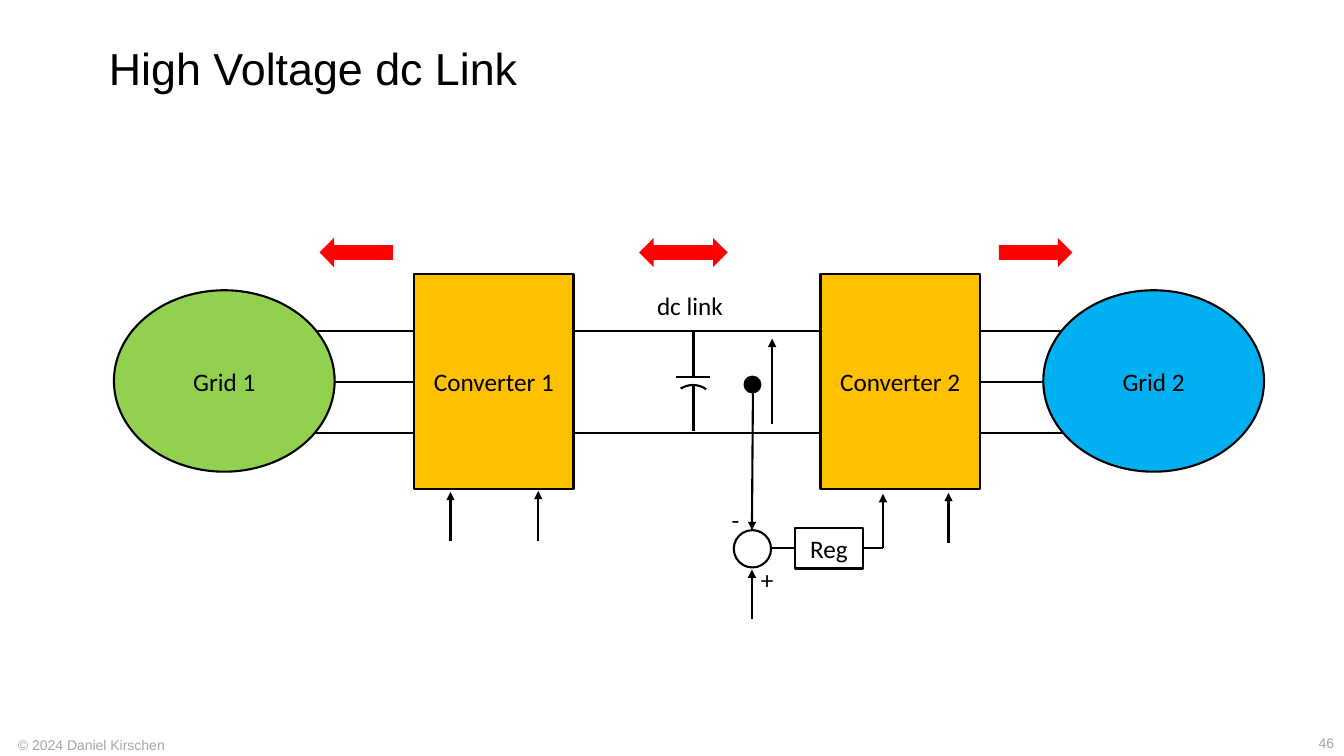
from dataclasses import dataclass
from typing import Optional

from lxml.etree import SubElement
from pptx import Presentation
from pptx.dml.color import RGBColor
from pptx.enum.shapes import MSO_CONNECTOR, MSO_SHAPE
from pptx.enum.text import MSO_ANCHOR, MSO_AUTO_SIZE, PP_ALIGN
from pptx.oxml.ns import qn
from pptx.util import Inches, Pt

COLS, ROWS = 160, 90
CELL = Inches(7.5) / ROWS


@dataclass(frozen=True)
class Theme:
    ink: str = "000000"
    paper: str = "FFFFFF"
    muted: str = "A6A6A6"
    flow: str = "FF0000"
    converter: str = "FFC000"
    grid_1: str = "92D050"
    grid_2: str = "00B0F0"
    heading: str = "Arial"
    label: str = "Calibri"
    title_pt: float = 32
    label_pt: float = 18
    footer_pt: float = 10
    stroke_pt: float = 1.5


@dataclass(frozen=True)
class Wire:
    x1: float
    y1: float
    x2: float
    y2: float
    arrow: bool = False


@dataclass(frozen=True)
class Block:
    kind: MSO_SHAPE
    x: float
    y: float
    w: float
    h: float
    fill: Optional[str]
    text: str = ""
    stroke: float = 1.5
    anchor: MSO_ANCHOR = MSO_ANCHOR.MIDDLE


@dataclass(frozen=True)
class Label:
    text: str
    x: float
    y: float
    w: float
    h: float
    font: str = "Calibri"
    size: float = 18
    color: str = "000000"
    wrap: bool = False
    align: PP_ALIGN = PP_ALIGN.LEFT
    anchor: MSO_ANCHOR = MSO_ANCHOR.TOP


T = Theme()
PHASES = [39.36 + 6.12 * i for i in range(3)]
TOP, MID, BOTTOM = PHASES
CAP_X, SUM_X, REG_Y, REG_OUT_X = 82.56, 89.52, 65.28, 105.12
FLOW_Y, FLOW_W, FLOW_H = 28.32, 8.76, 3.48

WIRES = [
    *(Wire(67.92, y, 97.56, y) for y in (TOP, BOTTOM)),
    *(Wire(39.12 if y == MID else 36.6, y, 52.08, y) for y in PHASES),
    *(Wire(114.48, y, 126.72, y) for y in PHASES),
    *(Wire(x, y, x, end, True) for x, y, end in (
        (53.64, 64.44, 58.56), (64.08, 64.44, 58.44),
        (112.92, 64.68, 58.68), (REG_OUT_X, REG_Y, 58.8),
        (91.92, 50.52, 40.32), (SUM_X, 73.68, 67.8))),
    Wire(89.64, 46.68, SUM_X, 63.12, True),
    Wire(90.72, REG_Y, REG_OUT_X, REG_Y),
    Wire(CAP_X, TOP, CAP_X, 44.88),
    Wire(84.48, 44.88, 80.52, 44.88),
    Wire(CAP_X, 45.84, CAP_X, 51.36),
]

BLOCKS = [
    *(Block(MSO_SHAPE.RECTANGLE, x, 32.64, 18.96, 25.56, T.converter, text)
      for x, text in ((49.32, "Converter 1"), (97.68, "Converter 2"))),
    *(Block(MSO_SHAPE.OVAL, x, 34.56, 26.28, 21.6, fill, text)
      for x, fill, text in ((13.56, T.grid_1, "Grid 1"), (124.2, T.grid_2, "Grid 2"))),
    Block(MSO_SHAPE.OVAL, 88.68, 44.88, 1.8, 1.8, T.ink, stroke=2),
    Block(MSO_SHAPE.OVAL, 87.36, 63.12, 4.44, 4.44, T.paper),
    Block(MSO_SHAPE.RECTANGLE, 94.68, 62.88, 8.04, 4.8, T.paper, "Reg",
          anchor=MSO_ANCHOR.TOP),
    *(Block(kind, x, FLOW_Y, FLOW_W, FLOW_H, T.flow, stroke=0)
      for kind, x in ((MSO_SHAPE.LEFT_ARROW, 38.04), (MSO_SHAPE.RIGHT_ARROW, 77.88),
                      (MSO_SHAPE.LEFT_ARROW, 76.08), (MSO_SHAPE.RIGHT_ARROW, 118.92))),
]
CAPACITOR_PLATE = Block(MSO_SHAPE.ARC, 79.68, 45.84, 5.64, 6, None)

LABELS = [
    Label("dc link", 77.04, 33.96, 10.32, 4.8),
    Label("-", 85.92, 59.4, 3.36, 4.8),
    Label("+", 89.4, 66.6, 3.96, 4.8),
    Label("© 2024 Daniel Kirschen", 0.96, 87.12, 39.84, 3.24,
          T.heading, T.footer_pt, T.muted, True),
    Label("46", 153.48, 86.88, 6.52, 3.24, T.heading, T.footer_pt, T.muted, True,
          PP_ALIGN.RIGHT, MSO_ANCHOR.MIDDLE),
]


def cells(*values: float) -> list[int]:
    return [round(v * CELL) for v in values]


def rgb(color: str) -> RGBColor:
    return RGBColor.from_string(color)


def write(tf, text: str, font: str, size: float, color: str, align: PP_ALIGN):
    tf.text = text
    p = tf.paragraphs[0]
    p.alignment = align
    p.font.name, p.font.size = font, Pt(size)
    p.font.color.rgb = rgb(color)
    return p


def draw_wire(s, wire: Wire) -> None:
    c = s.shapes.add_connector(MSO_CONNECTOR.STRAIGHT,
                               *cells(wire.x1, wire.y1, wire.x2, wire.y2))
    c.line.color.rgb = rgb(T.ink)
    c.line.width = Pt(T.stroke_pt)
    if wire.arrow:
        SubElement(c.line._get_or_add_ln(), qn("a:tailEnd"), type="triangle")
    SubElement(c._element.spPr, qn("a:effectLst"))


def draw_block(s, block: Block):
    sp = s.shapes.add_shape(block.kind, *cells(block.x, block.y, block.w, block.h))
    sp.shadow.inherit = False
    if block.fill:
        sp.fill.solid()
        sp.fill.fore_color.rgb = rgb(block.fill)
    else:
        sp.fill.background()
    if block.stroke:
        sp.line.color.rgb = rgb(T.ink)
        sp.line.width = Pt(block.stroke)
    else:
        sp.line.fill.background()
    if block.text:
        sp.text_frame.vertical_anchor = block.anchor
        write(sp.text_frame, block.text, T.label, T.label_pt, T.ink, PP_ALIGN.CENTER)
    return sp


def draw_label(s, label: Label) -> None:
    tf = s.shapes.add_textbox(*cells(label.x, label.y, label.w, label.h)).text_frame
    tf.word_wrap = label.wrap
    tf.vertical_anchor = label.anchor
    write(tf, label.text, label.font, label.size, label.color, label.align)


def draw_title(s, text: str) -> None:
    sp = s.shapes.title
    sp.left, sp.top, sp.width, sp.height = cells(11.76, 4.92, 140.52, 8.64)
    tf = sp.text_frame
    tf.auto_size = MSO_AUTO_SIZE.NONE
    tf.vertical_anchor = MSO_ANCHOR.TOP
    p = write(tf, text, T.heading, T.title_pt, T.ink, PP_ALIGN.LEFT)
    p.line_spacing = 0.9


def main() -> None:
    prs = Presentation()
    prs.slide_width, prs.slide_height = cells(COLS, ROWS)
    s = prs.slides.add_slide(prs.slide_layouts[5])
    draw_title(s, "High Voltage dc Link")
    for wire in WIRES:
        draw_wire(s, wire)
    for block in BLOCKS:
        draw_block(s, block)
    plate = draw_block(s, CAPACITOR_PLATE)
    plate.adjustments[0], plate.adjustments[1] = 144.31, 181.33
    for label in LABELS:
        draw_label(s, label)
    prs.save("out.pptx")


if __name__ == "__main__":
    main()
